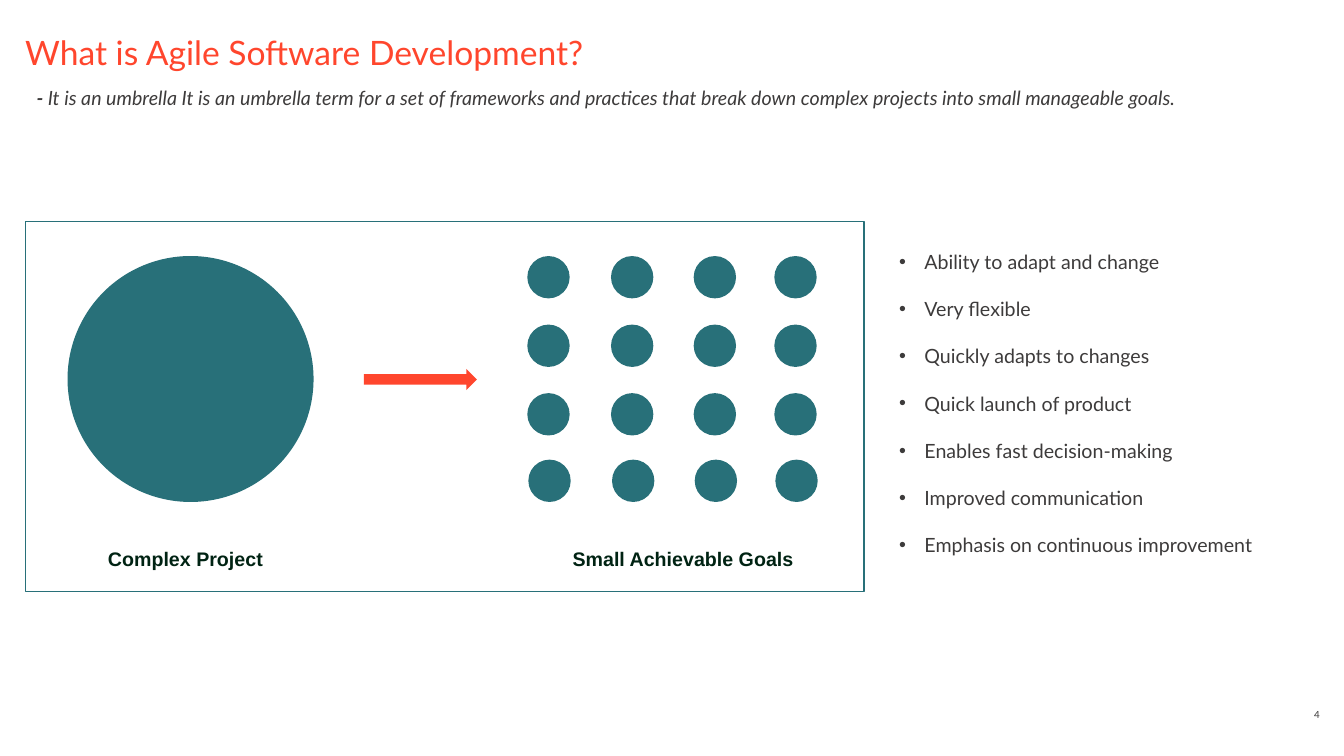
from lxml import etree
from pptx import Presentation, util as u
from pptx.dml.color import RGBColor
from pptx.enum import shapes, text
from pptx.oxml.ns import qn

TEAL = RGBColor(0x28, 0x70, 0x79)
ORANGE = RGBColor(0xFF, 0x46, 0x2D)
GREY = RGBColor(0x3D, 0x3B, 0x3B)
DARK_GREEN = RGBColor(0x00, 0x23, 0x13)
LEFT, CENTER, RIGHT = text.PP_ALIGN.LEFT, text.PP_ALIGN.CENTER, text.PP_ALIGN.RIGHT

MARGIN = 0.25
HEAD_WIDTH = 11.42
PANEL_TOP = 2.2
CIRCLE_TOP = 2.54

deck = Presentation()
deck.slide_width, deck.slide_height = u.Inches(13.33), u.Inches(7.5)
slide = deck.slides.add_slide(deck.slide_layouts[6])


def add_text(box, paragraphs, size, color, font="Lato", align=LEFT, inset=None):
    """Add a text box; each paragraph is a list of (words, bold, italic) runs."""
    frame = slide.shapes.add_textbox(*map(u.Inches, box)).text_frame
    frame.word_wrap = True
    if inset is not None:
        frame.margin_left = frame.margin_right = u.Inches(inset)
        frame.margin_top = frame.margin_bottom = u.Inches(inset)
    for i, runs in enumerate(paragraphs):
        paragraph = frame.add_paragraph() if i else frame.paragraphs[0]
        paragraph.alignment = align
        for words, bold, italic in runs:
            run = paragraph.add_run()
            run.text = words
            run.font.name, run.font.size = font, u.Pt(size)
            run.font.bold, run.font.italic = bold, italic
            run.font.color.rgb = color
    return frame


def add_shape(kind, box, fill=None, line=None):
    shape = slide.shapes.add_shape(kind, *map(u.Inches, box))
    shape.shadow.inherit = False
    if fill is None:
        shape.fill.background()
    else:
        shape.fill.solid()
        shape.fill.fore_color.rgb = fill
    if line is None:
        shape.line.fill.background()
    else:
        shape.line.color.rgb = line
        shape.line.width = u.Pt(1)


# Slide number
page_number = add_text((12.81, 6.91, 0.28, 0.24), [[("4", False, False)]],
                       7, GREY, align=RIGHT, inset=0)
page_number.vertical_anchor = text.MSO_ANCHOR.BOTTOM

# Title and definition
add_text((MARGIN, 0.32, HEAD_WIDTH, 0.31),
         [[("What is Agile Software Development?", False, False)]], 24, ORANGE, inset=0)
definition = ("It is an umbrella It is an umbrella term for a set of frameworks and practices "
              "that break down complex projects into small manageable goals.")
add_text((MARGIN, 0.85, HEAD_WIDTH, 0.75),
         [[("- ", True, True), (definition, False, True)]], 14, GREY, align=RIGHT, inset=0)

# One complex project
CIRCLE = shapes.MSO_SHAPE.FLOWCHART_CONNECTOR
add_shape(CIRCLE, (0.67, CIRCLE_TOP, 2.44, 2.44), TEAL)

# Small goals: four columns by four rows, the last row a touch to the right
GOAL = 0.42
for goal_left in (5.23, 6.06, 6.88, 7.68):
    for drop, shift in ((0, 0), (0.68, 0), (1.36, 0), (2.02, 0.01)):
        add_shape(CIRCLE, (goal_left + shift, CIRCLE_TOP + drop, GOAL, GOAL), TEAL)

# Arrow from project to goals
add_shape(shapes.MSO_SHAPE.RIGHT_ARROW, (3.61, 3.66, 1.12, 0.21), ORANGE)

# Captions
for caption, left, width in (("Complex Project", 0.92, 1.84),
                             ("Small Achievable Goals", 5.15, 3.25)):
    add_text((left, 5.38, width, 0.34), [[(caption, True, False)]],
             14, DARK_GREEN, "Arial", CENTER)

# Panel frame
add_shape(shapes.MSO_SHAPE.RECTANGLE, (MARGIN, PANEL_TOP, 8.32, 3.67), line=TEAL)

# Benefits
benefits = ["Ability to adapt and change", "Very flexible", "Quickly adapts to changes",
            "Quick launch of product", "Enables fast decision-making",
            "Improved communication", "Emphasis on continuous improvement"]
benefit_list = add_text((8.82, PANEL_TOP, 4.29, 3.33),
                        [[(benefit, False, False)] for benefit in benefits], 14, GREY)
for paragraph in benefit_list.paragraphs:
    paragraph.line_spacing = 2.0
    properties = paragraph._p.get_or_add_pPr()
    properties.set("marL", str(u.Inches(0.25)))
    properties.set("indent", str(-u.Inches(0.25)))
    etree.SubElement(properties, qn("a:buFont")).set("typeface", "Arial")
    etree.SubElement(properties, qn("a:buChar")).set("char", "•")

deck.save("out.pptx")
